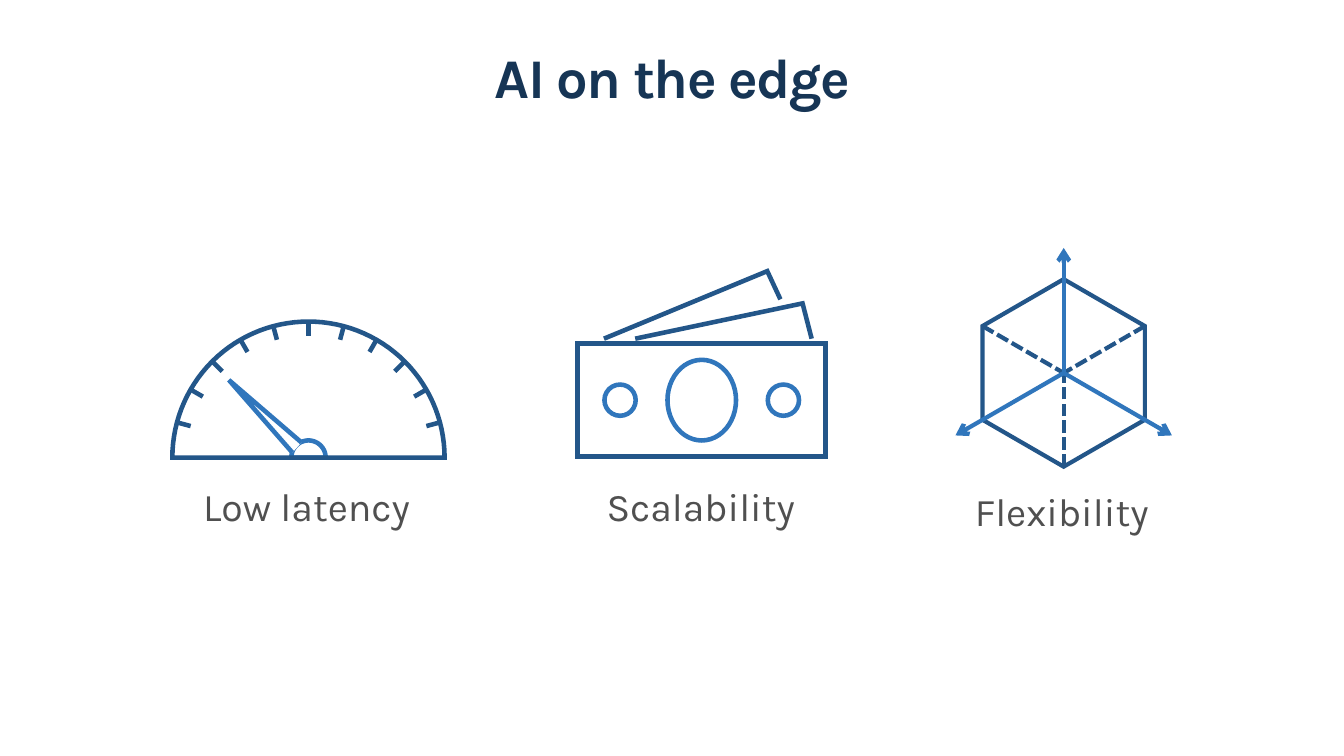
"""Build the slide "AI on the edge" with three outlined icons and their captions."""
from math import cos, radians, sin

from lxml import etree
from pptx import Presentation
from pptx.dml.color import RGBColor
from pptx.enum.dml import MSO_LINE
from pptx.enum.shapes import MSO_CONNECTOR, MSO_SHAPE
from pptx.enum.text import MSO_ANCHOR, MSO_AUTO_SIZE, PP_ALIGN
from pptx.oxml.ns import qn
from pptx.util import Inches, Pt

STRAIGHT = MSO_CONNECTOR.STRAIGHT
RECTANGLE = MSO_SHAPE.RECTANGLE
OVAL = MSO_SHAPE.OVAL
DASHED = MSO_LINE.SQUARE_DOT
TOP, BOTTOM = MSO_ANCHOR.TOP, MSO_ANCHOR.BOTTOM
FIT_TEXT = MSO_AUTO_SIZE.SHAPE_TO_FIT_TEXT
CENTER = PP_ALIGN.CENTER

FONT = "Karla"
COLORS = {
    "title": "163555",
    "caption": "505050",
    "dark": "235689",
    "bright": "3076BC",
    "white": "FFFFFF",
}


def rgb(name):
    """Return the named colour."""
    return RGBColor.from_string(COLORS[name])


def polar(center, radius, angle):
    """Return the point at an angle counted anticlockwise from the right."""
    x, y = center
    return x + radius * cos(radians(angle)), y - radius * sin(radians(angle))


def half_disc(center, radius):
    """Return the points of an upper half circle."""
    return [polar(center, radius, angle) for angle in range(0, 181, 3)]


def write_text(frame, text, size=28, color="caption", bold=False, spacing=None):
    """Write one centred line of text into a text frame."""
    paragraph = frame.paragraphs[0]
    paragraph.alignment = CENTER
    paragraph.line_spacing = 0.9
    run = paragraph.add_run()
    run.text = text
    font = run.font
    font.name, font.size, font.bold = FONT, Pt(size), bold
    font.color.rgb = rgb(color)
    if spacing is not None:
        run._r.get_or_add_rPr().set("spc", str(spacing))


class IconSlide:
    """Draw outlined icons and text on one slide."""

    def __init__(self, slide):
        """Keep the slide to draw on."""
        self.slide = slide

    def style_line(self, line, color, width, dash=None, arrow=False):
        """Set colour, width, dash, mitred corners and arrowhead of a line."""
        line.color.rgb = rgb(color)
        line.width = Pt(width)
        if dash is not None:
            line.dash_style = dash
        properties = line._get_or_add_ln()
        etree.SubElement(properties, qn("a:miter"), lim="800000")
        if arrow:
            etree.SubElement(properties, qn("a:tailEnd"), type="arrow")

    def style_shape(self, shape, color, width, fill):
        """Set fill and outline of a shape."""
        shape.shadow.inherit = False
        if fill:
            shape.fill.solid()
            shape.fill.fore_color.rgb = rgb(fill)
        else:
            shape.fill.background()
        self.style_line(shape.line, color, width)

    def text(self, text, left, top, width, height, anchor=TOP, inset=0.05, **style):
        """Add a text box."""
        box = self.slide.shapes.add_textbox(
            Inches(left), Inches(top), Inches(width), Inches(height))
        frame = box.text_frame
        frame.word_wrap = True
        frame.auto_size = FIT_TEXT
        frame.vertical_anchor = anchor
        frame.margin_top = frame.margin_bottom = Inches(inset)
        write_text(frame, text, **style)

    def preset(self, kind, center, width, height, color):
        """Add an outlined preset shape around its centre."""
        x, y = center
        shape = self.slide.shapes.add_shape(
            kind, Inches(x - width / 2), Inches(y - height / 2),
            Inches(width), Inches(height))
        self.style_shape(shape, color, 3.25, None)

    def outline(self, points, color, width=3.25, close=False, fill=None):
        """Add a freeform through the points."""
        start, *others = [(Inches(x), Inches(y)) for x, y in points]
        builder = self.slide.shapes.build_freeform(*start)
        builder.add_line_segments(others, close=close)
        self.style_shape(builder.convert_to_shape(), color, width, fill)

    def line(self, start, end, color, width=3, dash=None, arrow=False):
        """Add a straight line."""
        connector = self.slide.shapes.add_connector(
            STRAIGHT, *[Inches(value) for value in (*start, *end)])
        self.style_line(connector.line, color, width, dash, arrow)
        etree.SubElement(connector._element.spPr, qn("a:effectLst"))

    def banknotes(self, center):
        """Draw a banknote with two more behind it."""
        x, y = center
        self.preset(RECTANGLE, center, 2.46, 1.12, "dark")
        self.preset(OVAL, center, 0.68, 0.8, "bright")
        for offset in (-0.81, 0.81):
            self.preset(OVAL, (x + offset, y), 0.31, 0.31, "bright")
        self.outline([(6.3, 3.36), (7.96, 3.01), (8.05, 3.36)], "dark")
        self.outline([(5.99, 3.36), (7.61, 2.69), (7.74, 2.97)], "dark")

    def gauge(self, center, radius):
        """Draw a half-round gauge with ticks and a needle."""
        for angle in range(15, 180, 15):
            self.line(polar(center, radius, angle),
                      polar(center, radius - 0.14, angle), "dark", 3.25)
        self.outline(half_disc(center, 0.17), "bright", close=True, fill="white")
        self.outline([(2.9, 4.49), (2.27, 3.77), (2.99, 4.39)], "bright", fill="white")
        self.outline(half_disc(center, radius), "dark", close=True)

    def cube(self, center, radius):
        """Draw a cube with hidden edges and three axes."""
        corners = [polar(center, radius, angle) for angle in range(30, 390, 60)]
        self.outline(corners, "dark", 3, close=True)
        for angle in (270, 30, 150):
            self.line(polar(center, radius, angle), center, "dark", dash=DASHED)
        for angle in (90, 210, 330):
            self.line(center, polar(center, 1.24, angle), "bright", arrow=True)


def main():
    """Build and save the presentation."""
    presentation = Presentation()
    presentation.slide_width = Inches(13.33)
    presentation.slide_height = Inches(7.5)
    page = IconSlide(presentation.slides.add_slide(presentation.slide_layouts[6]))

    page.text("AI on the edge", 0.21, 0.4, 12.92, 0.8, anchor=BOTTOM, inset=0.1,
              size=40, color="title", bold=True, spacing=-100)
    page.gauge((3.06, 4.54), 1.35)
    page.banknotes((6.96, 3.97))
    page.cube((10.55, 3.7), 0.93)
    captions = [
        ("Low latency", 1.34, 4.79),
        ("Scalability", 5.25, 4.79),
        ("Flexibility", 8.83, 4.84),
    ]
    for caption, left, top in captions:
        page.text(caption, left, top, 3.4, 0.53)
    presentation.save("out.pptx")


if __name__ == "__main__":
    main()
